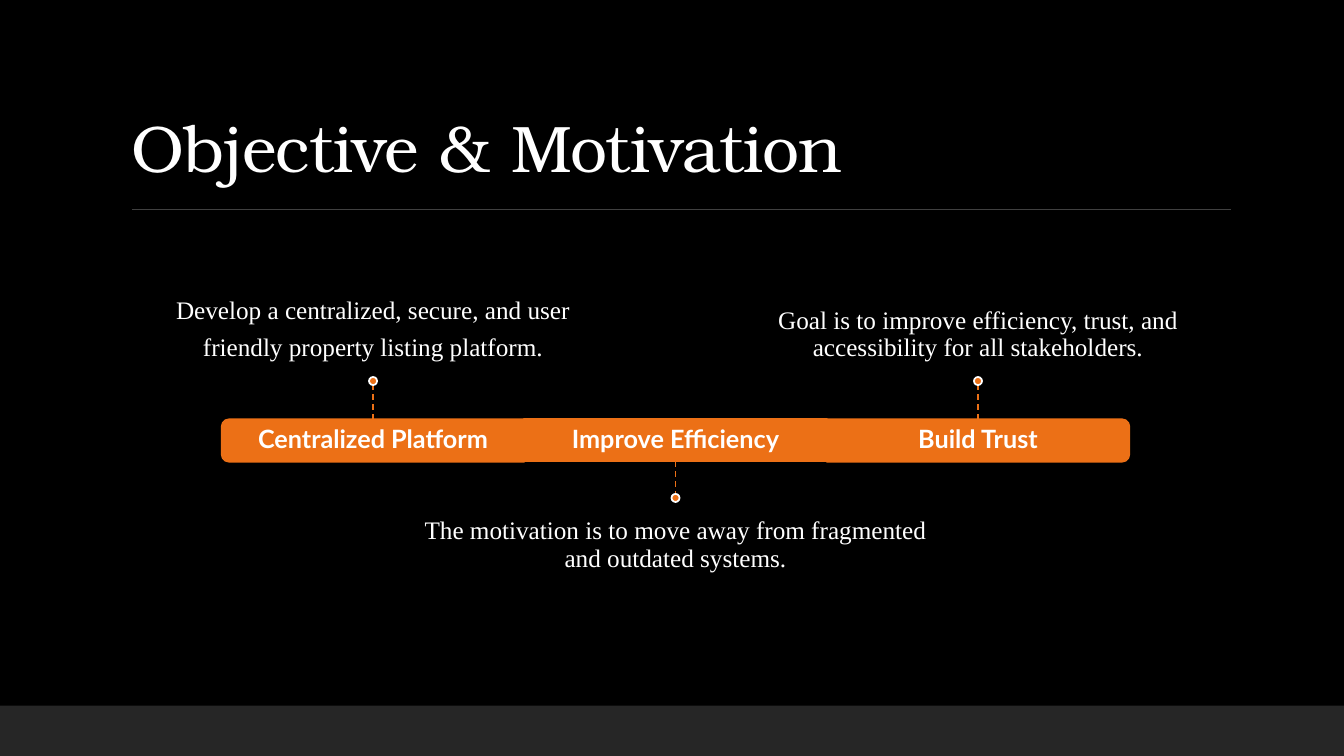
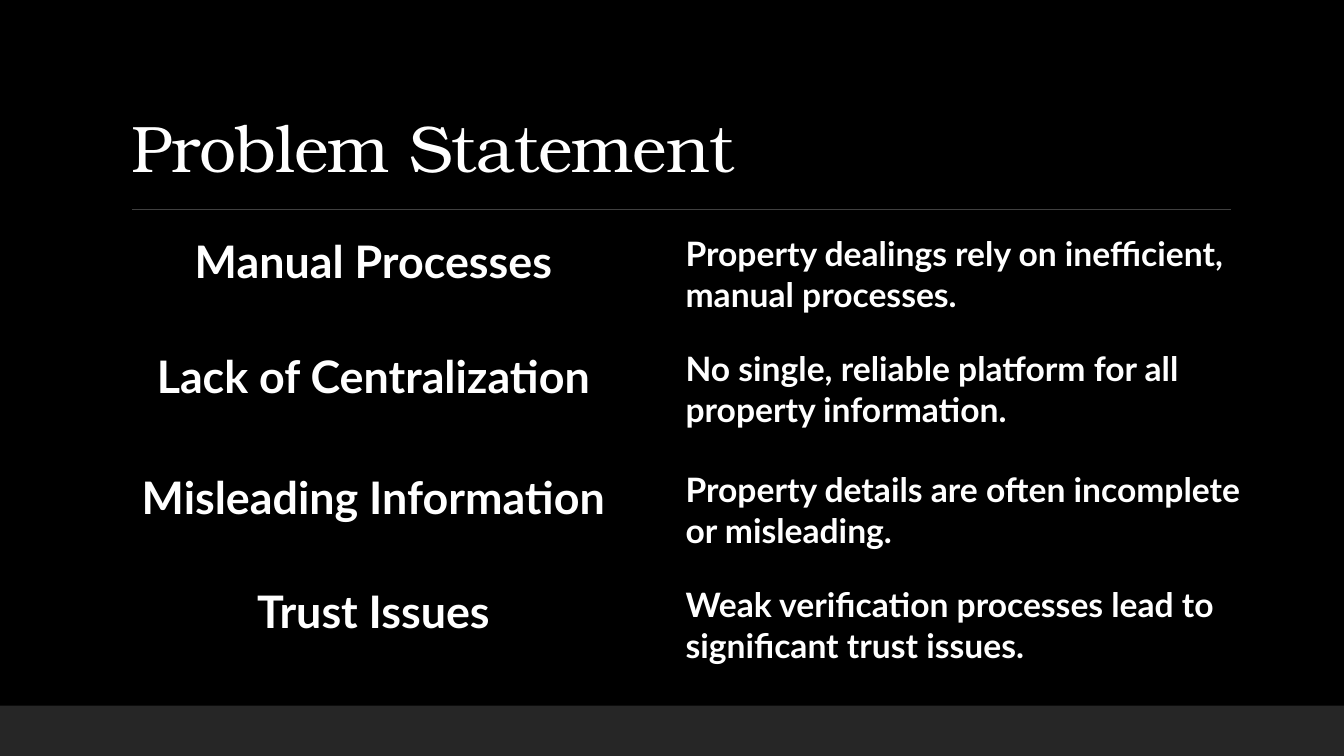
from lxml import etree
from pptx import Presentation
from pptx.dml.color import RGBColor
from pptx.enum.dml import MSO_LINE
from pptx.enum.shapes import MSO_CONNECTOR, MSO_SHAPE
from pptx.enum.text import MSO_ANCHOR, PP_ALIGN
from pptx.oxml.ns import qn
from pptx.util import Emu, Pt

BLACK = RGBColor(0x00, 0x00, 0x00)
WHITE = RGBColor(0xFF, 0xFF, 0xFF)
ORANGE = RGBColor(0xEC, 0x70, 0x16)
BAND_GREY = RGBColor(0x26, 0x26, 0x26)
RULE_GREY = RGBColor(0x40, 0x40, 0x40)

TITLE_FONT = "TeX Gyre Bonum"
LABEL_FONT = "Lato"
NOTE_FONT = "Times New Roman"

LEFT, CENTER = PP_ALIGN.LEFT, PP_ALIGN.CENTER
TOP, MIDDLE, BOTTOM = MSO_ANCHOR.TOP, MSO_ANCHOR.MIDDLE, MSO_ANCHOR.BOTTOM
RECTANGLE, OVAL = MSO_SHAPE.RECTANGLE, MSO_SHAPE.OVAL
ROUNDED_END = MSO_SHAPE.ROUND_2_SAME_RECTANGLE
STRAIGHT, DASH = MSO_CONNECTOR.STRAIGHT, MSO_LINE.DASH

PX = 9144
SLIDE_W, SLIDE_H = 1333, 750
TITLE_ONLY = 5

BAR_TOP, BAR_W, BAR_H = 416, 300, 42
FIRST_CENTER = 370
DOT = 8
NOTE_W, NOTE_H = 500, 145

OBJECTIVES = [
    ("Centralized Platform", True, 270,
     ["Develop a centralized, secure, and user",
      "friendly property listing platform."]),
    ("Improve Efficiency", False, None,
     ["The motivation is to move away from fragmented and outdated systems."]),
    ("Build Trust", True, 90,
     ["Goal is to improve efficiency, trust, and accessibility "
      "for all stakeholders."]),
]

PROBLEMS = [
    ("Manual Processes",
     "Property dealings rely on inefficient, manual processes."),
    ("Lack of Centralization",
     "No single, reliable platform for all property information."),
    ("Misleading Information",
     "Property details are often incomplete or misleading."),
    ("Trust Issues",
     "Weak verification processes lead to significant trust issues."),
]


def px(*lengths):
    return [Emu(length * PX) for length in lengths]


class Deck:
    def __init__(self):
        self.prs = Presentation()
        self.prs.slide_width, self.prs.slide_height = px(SLIDE_W, SLIDE_H)
        background = self.prs.slide_master.background.fill
        background.solid()
        background.fore_color.rgb = BLACK
        self.slide = None

    def new_slide(self, heading):
        layout = self.prs.slide_layouts[TITLE_ONLY]
        self.slide = self.prs.slides.add_slide(layout)
        self.shape(RECTANGLE, 0, 700, SLIDE_W, 50, BAND_GREY)
        self.line((131, 208), (1221, 208), RULE_GREY)
        title = self.slide.shapes.title
        title.left, title.top, title.width, title.height = px(120, 31, 1100, 159)
        title.text_frame.vertical_anchor = BOTTOM
        self.fill_text(title.text_frame, [heading], TITLE_FONT, 47, LEFT,
                       spacing=0.9)
        properties = title.text_frame.paragraphs[0]._p.get_or_add_pPr()
        properties.find(qn("a:defRPr")).set("spc", "-50")

    def fill_text(self, frame, lines, font, size, align, bold=False,
                  spacing=None, gap=None):
        frame.text = "\n".join(lines)
        for paragraph in frame.paragraphs:
            paragraph.alignment = align
            paragraph.line_spacing = spacing
            paragraph.space_after = gap
            paragraph.font.name = font
            paragraph.font.size = Pt(size)
            paragraph.font.bold = bold
            paragraph.font.color.rgb = WHITE

    def shape(self, kind, left, top, width, height, fill, outline=None, turn=0):
        shape = self.slide.shapes.add_shape(kind, *px(left, top, width, height))
        shape.shadow.inherit = False
        shape.rotation = turn
        shape.fill.solid()
        shape.fill.fore_color.rgb = fill
        if outline is None:
            shape.line.fill.background()
        else:
            shape.line.color.rgb = outline
            shape.line.width = Pt(1.25)

    def line(self, start, end, color, dash=None):
        line = self.slide.shapes.add_connector(STRAIGHT, *px(*start, *end))
        line.line.color.rgb = color
        line.line.width = Pt(1)
        line.line.dash_style = dash
        etree.SubElement(line._element.spPr, qn("a:effectLst"))
        return line

    def text(self, lines, left, top, width, height, font, anchor,
             bold=False, margins=(0, 0, 0, 0)):
        box = self.slide.shapes.add_textbox(*px(left, top, width, height))
        frame = box.text_frame
        frame.word_wrap = True
        frame.vertical_anchor = anchor
        (frame.margin_left, frame.margin_top,
         frame.margin_right, frame.margin_bottom) = px(*margins)
        self.fill_text(frame, lines, font, 18, CENTER, bold, 0.9, Pt(7))
        return box

    def objective(self, center, label, above, turn, note):
        left = center - BAR_W // 2
        if turn is None:
            self.shape(RECTANGLE, left, BAR_TOP, BAR_W, BAR_H, ORANGE, ORANGE)
        else:
            self.shape(ROUNDED_END, center - BAR_H // 2,
                       BAR_TOP + BAR_H // 2 - BAR_W // 2,
                       BAR_H, BAR_W, ORANGE, ORANGE, turn)
        label_box = self.text([label], left, BAR_TOP, BAR_W, BAR_H,
                              LABEL_FONT, MIDDLE, True, (15, 15, 15, 15))
        if above:
            side, bar_edge, stem_end, dot_top = 0, BAR_TOP, 383, 374
            note_top, anchor, margins = 229, BOTTOM, (0, 0, 0, 15)
        else:
            side, bar_edge, stem_end, dot_top = 2, BAR_TOP + BAR_H, 490, 490
            note_top, anchor, margins = 499, TOP, (0, 15, 0, 0)
        stem = self.line((center, bar_edge), (center, stem_end), ORANGE, DASH)
        stem.begin_connect(label_box, side)
        self.shape(OVAL, center - DOT // 2, dot_top, DOT, DOT, ORANGE, WHITE)
        self.text(note, center - NOTE_W // 2, note_top, NOTE_W, NOTE_H,
                  NOTE_FONT, anchor, margins=margins)

    def table(self, rows, left, top, widths, heights):
        frame = self.slide.shapes.add_table(
            len(rows), len(widths),
            *px(left, top, sum(widths), sum(heights)))
        table = frame.table
        table.first_row = table.horz_banding = False
        for column, width in zip(table.columns, px(*widths)):
            column.width = width
        for row, height, texts in zip(table.rows, px(*heights), rows):
            row.height = height
            for cell, text, size, align in zip(
                    row.cells, texts, (32, 24), (CENTER, LEFT)):
                self.fill_text(cell.text_frame, [text], LABEL_FONT, size,
                               align, True)
                self.border(cell)
                cell.fill.background()

    def border(self, cell):
        properties = cell._tc.get_or_add_tcPr()
        for side in ("a:lnL", "a:lnR", "a:lnT", "a:lnB"):
            edge = etree.SubElement(properties, qn(side), w=str(Pt(1)))
            fill = etree.SubElement(edge, qn("a:solidFill"))
            etree.SubElement(fill, qn("a:srgbClr"), val=str(BLACK))


def main():
    deck = Deck()
    deck.new_slide("Objective & Motivation")
    for index, objective in enumerate(OBJECTIVES):
        deck.objective(FIRST_CENTER + index * BAR_W, *objective)

    deck.new_slide("Problem Statement")
    deck.table(PROBLEMS, 71, 227, (599, 599), (114, 120, 114, 114))
    deck.prs.save("out.pptx")


if __name__ == "__main__":
    main()
